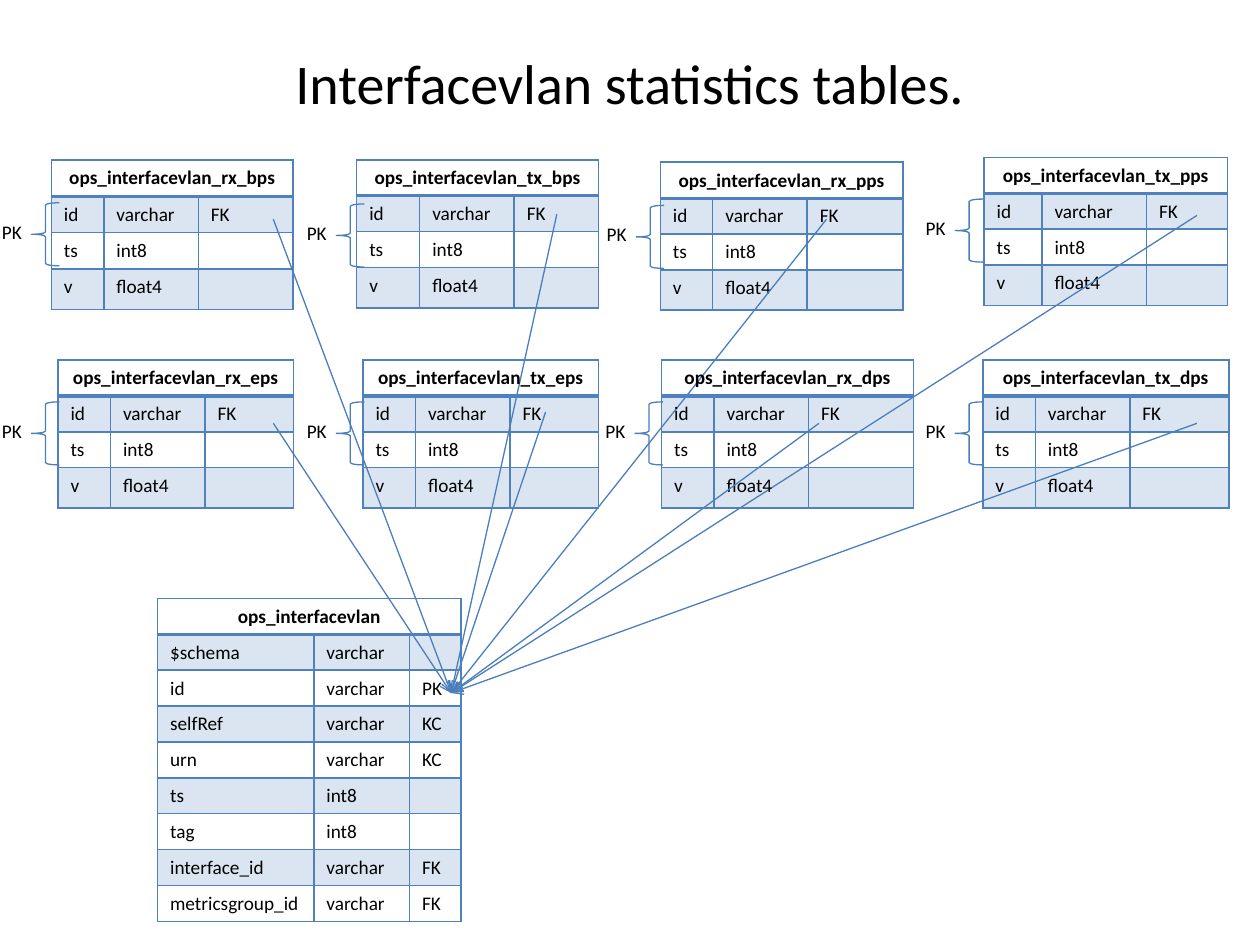
from dataclasses import dataclass

from lxml import etree
from pptx import Presentation, util as u
from pptx.dml.color import RGBColor
from pptx.enum import shapes, text
from pptx.oxml.ns import qn
from pptx.slide import Slide

COLORS = {"text": "000000", "border": "4F81BD", "band": "4F81BD", "line": "4B7EBC"}
BAND_ALPHA = "20000"
ROW_HEIGHT = 20.5
LAST_STATISTICS_ROW = 23
BODY = {"name": "Calibri", "size": u.Pt(11), "bold": False}
HEADER = BODY | {"bold": True}
TITLE = BODY | {"size": u.Pt(32)}
ARROW_TARGET = (257.8, 396)

Row = tuple[str, str, str]


@dataclass
class StatisticsTable:
    name: str
    left: float
    top: float
    columns: tuple[float, ...]
    brace: tuple[float, float]
    arrow_start: tuple[float, float]


STATISTICS_ROWS: list[Row] = [("id", "varchar", "FK"), ("ts", "int8", ""), ("v", "float4", "")]
INTERFACE_ROWS: list[Row] = [
    ("$schema", "varchar", ""),
    ("id", "varchar", "PK"),
    ("selfRef", "varchar", "KC"),
    ("urn", "varchar", "KC"),
    ("ts", "int8", ""),
    ("tag", "int8", ""),
    ("interface_id", "varchar", "FK"),
    ("metricsgroup_id", "varchar", "FK"),
]
UPPER_TABLES = [
    StatisticsTable("rx_bps", 29.3, 91.4, (30, 54, 54.2), (18, 115.9), (156.2, 125.3)),
    StatisticsTable("tx_bps", 203.8, 91.4, (36, 54, 48.2), (192.2, 116.6), (318.2, 122.4)),
    StatisticsTable("rx_pps", 377.3, 92.7, (30, 54, 54.7), (363.6, 117.4), (472.3, 125.3)),
    StatisticsTable("tx_pps", 562.3, 90, (33.1, 59.8, 46.3), (545.8, 113.8), (684, 123.1)),
]
LOWER_TABLES = [
    StatisticsTable("rx_eps", 33.1, 205.8, (30, 54, 50.6), (18, 229.7), (156.2, 241.9)),
    StatisticsTable("tx_eps", 207.4, 205.8, (30, 54, 50.6), (192.2, 229.7), (311.8, 235.4)),
    StatisticsTable("rx_dps", 378, 205.8, (30, 54, 60), (362.9, 229.7), (468, 241.9)),
    StatisticsTable("tx_dps", 561.6, 205.8, (30, 54, 56.6), (545.8, 229.7), (684, 241.9)),
]


def write(paragraph, content: str, style: dict, align=text.PP_ALIGN.LEFT) -> None:
    """Fill a paragraph; an empty one still gets its size, which sets the row height."""
    paragraph.alignment = align
    if not content:
        etree.SubElement(paragraph._p, qn("a:endParaRPr"), sz=str(int(style["size"].pt * 100)))
        return
    run = paragraph.add_run()
    run.text = content
    for attribute, value in style.items():
        setattr(run.font, attribute, value)
    run.font.color.rgb = RGBColor.from_string(COLORS["text"])


def add_borders(cell, row_index: int) -> None:
    """Draw all four edges, with a thicker rule under the header row."""
    thick_edge = {0: "lnB", 1: "lnT"}.get(row_index)
    properties = cell._tc.get_or_add_tcPr()
    for edge in ("lnL", "lnR", "lnT", "lnB"):
        width = u.Pt(2 if edge == thick_edge else 1)
        line = etree.SubElement(properties, qn(f"a:{edge}"), w=str(width))
        fill = etree.SubElement(line, qn("a:solidFill"))
        etree.SubElement(fill, qn("a:srgbClr"), val=COLORS["border"])


def fill_cell(cell, banded: bool) -> None:
    if not banded:
        cell.fill.background()
        return
    cell.fill.solid()
    cell.fill.fore_color.rgb = RGBColor.from_string(COLORS["band"])
    color = cell._tc.tcPr.find(qn("a:solidFill"))[0]
    etree.SubElement(color, qn("a:alpha"), val=BAND_ALPHA)


def add_schema_table(slide: Slide, name: str, left: float, top: float,
                     columns: tuple[float, ...], rows: list[Row],
                     last_height: float = ROW_HEIGHT) -> None:
    heights = [ROW_HEIGHT] * len(rows) + [last_height]
    table = slide.shapes.add_table(
        len(heights), len(columns), u.Pt(left), u.Pt(top),
        u.Pt(sum(columns)), u.Pt(sum(heights))).table
    table.first_row = table.horz_banding = False
    for column, width in zip(table.columns, columns):
        column.width = u.Pt(width)
    for row, height in zip(table.rows, heights):
        row.height = u.Pt(height)
    table.cell(0, 0).merge(table.cell(0, len(columns) - 1))
    for row_index, values in enumerate([(name, "", ""), *rows]):
        is_header = row_index == 0
        style = HEADER if is_header else BODY
        align = text.PP_ALIGN.CENTER if is_header else text.PP_ALIGN.LEFT
        for column_index, value in enumerate(values):
            cell = table.cell(row_index, column_index)
            write(cell.text_frame.paragraphs[0], value, style, align)
            add_borders(cell, row_index)
            fill_cell(cell, row_index % 2 == 1)


def add_text(slide: Slide, content: str, left: float, top: float, width: float,
             height: float, style: dict, align=text.PP_ALIGN.LEFT, wrap: bool = False) -> None:
    box = slide.shapes.add_textbox(u.Pt(left), u.Pt(top), u.Pt(width), u.Pt(height))
    box.text_frame.word_wrap = wrap
    box.text_frame.vertical_anchor = text.MSO_ANCHOR.MIDDLE
    write(box.text_frame.paragraphs[0], content, style, align)


def style_line(line) -> None:
    line.color.rgb = RGBColor.from_string(COLORS["line"])
    line.width = u.Pt(0.75)


def add_key_brace(slide: Slide, left: float, top: float) -> None:
    """Bracket the id and ts rows as the primary key."""
    brace = slide.shapes.add_shape(
        shapes.MSO_SHAPE.LEFT_BRACE, u.Pt(left), u.Pt(top), u.Pt(16), u.Pt(36))
    brace.shadow.inherit = False
    brace.fill.background()
    style_line(brace.line)
    add_text(slide, "PK", left - 24, top + 6, 26, 20.6, BODY)


def add_key_arrow(slide: Slide, start: tuple[float, float]) -> None:
    """Link a foreign key to the id row of the interface table."""
    ends = [u.Pt(value) for value in (*start, *ARROW_TARGET)]
    arrow = slide.shapes.add_connector(shapes.MSO_CONNECTOR.STRAIGHT, *ends)
    style_line(arrow.line)
    etree.SubElement(arrow.line._get_or_add_ln(), qn("a:tailEnd"), type="arrow")
    etree.SubElement(arrow._element.spPr, qn("a:effectLst"))


def add_statistics_row(slide: Slide, tables: list[StatisticsTable]) -> None:
    for item in tables:
        add_schema_table(slide, f"ops_interfacevlan_{item.name}", item.left, item.top,
                         item.columns, STATISTICS_ROWS, LAST_STATISTICS_ROW)
        add_key_brace(slide, *item.brace)
    for item in tables:
        add_key_arrow(slide, item.arrow_start)


def main() -> None:
    presentation = Presentation()
    presentation.slide_width, presentation.slide_height = u.Pt(720), u.Pt(540)
    slide = presentation.slides.add_slide(presentation.slide_layouts[6])
    add_statistics_row(slide, UPPER_TABLES)
    add_statistics_row(slide, LOWER_TABLES)
    add_schema_table(slide, "ops_interfacevlan", 90, 342, (89.3, 54.7, 29.5), INTERFACE_ROWS)
    add_text(slide, "Interfacevlan statistics tables.", 36, 21.6, 648, 50.4, TITLE,
             text.PP_ALIGN.CENTER, wrap=True)
    presentation.save("out.pptx")


if __name__ == "__main__":
    main()
